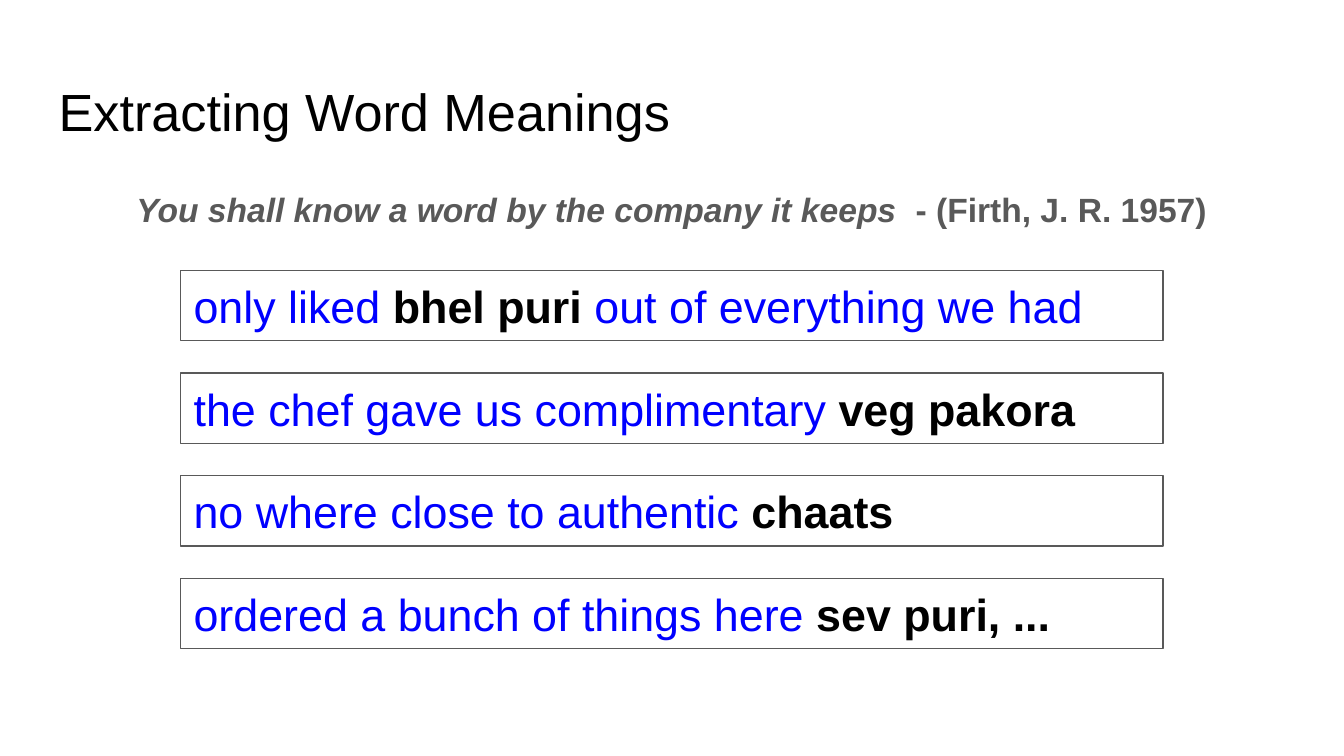
from pptx import Presentation
from pptx.dml.color import RGBColor
from pptx.enum.shapes import MSO_SHAPE
from pptx.enum.text import MSO_ANCHOR, PP_ALIGN
from pptx.util import Cm, Pt

RECTANGLE = MSO_SHAPE.RECTANGLE
TOP, MIDDLE = MSO_ANCHOR.TOP, MSO_ANCHOR.MIDDLE
LEFT, CENTER = PP_ALIGN.LEFT, PP_ALIGN.CENTER

COLORS = {
    "background": "FFFFFF",
    "title": "000000",
    "quote": "595959",
    "border": "595959",
    "context": "0000FF",
    "target": "000000",
}
BLANK_LAYOUT = 6


def color(name):
    return RGBColor.from_string(COLORS[name])


def styled(text, **text_format):
    """Pair text with its font format, ready to become a run."""
    return text, text_format


def context(text):
    return styled(text, size=24, fill="context")


def target(text):
    return styled(text, size=24, fill="target", bold=True)


class SlideBuilder:
    def __init__(self, slide, font="Arial", inset=0.25):
        self.slide = slide
        self.font = font
        self.inset = Cm(inset)

    def set_text(self, shape, runs, align=LEFT, anchor=TOP, line_spacing=1.0):
        frame = shape.text_frame
        frame.word_wrap = True
        frame.vertical_anchor = anchor
        frame.margin_left = frame.margin_right = self.inset
        frame.margin_top = frame.margin_bottom = self.inset
        paragraph = frame.paragraphs[0]
        paragraph.alignment = align
        paragraph.line_spacing = line_spacing
        for text, text_format in runs:
            run = paragraph.add_run()
            run.text = text
            run.font.name = self.font
            run.font.size = Pt(text_format["size"])
            run.font.color.rgb = color(text_format["fill"])
            run.font.bold = text_format.get("bold", False)
            run.font.italic = text_format.get("italic", False)

    def text_box(self, left, top, width, height, runs, **layout):
        shape = self.slide.shapes.add_textbox(Cm(left), Cm(top), Cm(width), Cm(height))
        self.set_text(shape, runs, **layout)

    def framed_text(self, left, top, width, height, runs):
        shape = self.slide.shapes.add_shape(
            RECTANGLE, Cm(left), Cm(top), Cm(width), Cm(height))
        shape.shadow.inherit = False
        shape.fill.solid()
        shape.fill.fore_color.rgb = color("background")
        shape.line.color.rgb = color("border")
        shape.line.width = Pt(0.75)
        self.set_text(shape, runs, anchor=MIDDLE)


def main():
    presentation = Presentation()
    presentation.slide_width = Cm(25.4)
    presentation.slide_height = Cm(14.29)
    slide = presentation.slides.add_slide(presentation.slide_layouts[BLANK_LAYOUT])
    builder = SlideBuilder(slide)

    builder.text_box(0.86, 1.24, 23.67, 1.6, [
        styled("Extracting Word Meanings", size=28, fill="title")])
    builder.text_box(0.86, 3.2, 23.67, 9.5, [
        styled("You shall know a word by the company it keeps",
               size=18, fill="quote", bold=True, italic=True),
        styled("  - (Firth, J. R. 1957)", size=18, fill="quote", bold=True),
    ], align=CENTER, line_spacing=1.15)

    examples = [
        [context("only liked "), target("bhel puri "), context("out of everything we had")],
        [context("the chef gave us complimentary "), target("veg pakora")],
        [context("no where close to authentic "), target("chaats")],
        [context("ordered a bunch of things here "), target("sev puri, ...")],
    ]
    first_top, pitch = 5.11, 1.94
    for row, runs in enumerate(examples):
        builder.framed_text(3.41, first_top + row * pitch, 18.57, 1.33, runs)

    presentation.save("out.pptx")


if __name__ == "__main__":
    main()
